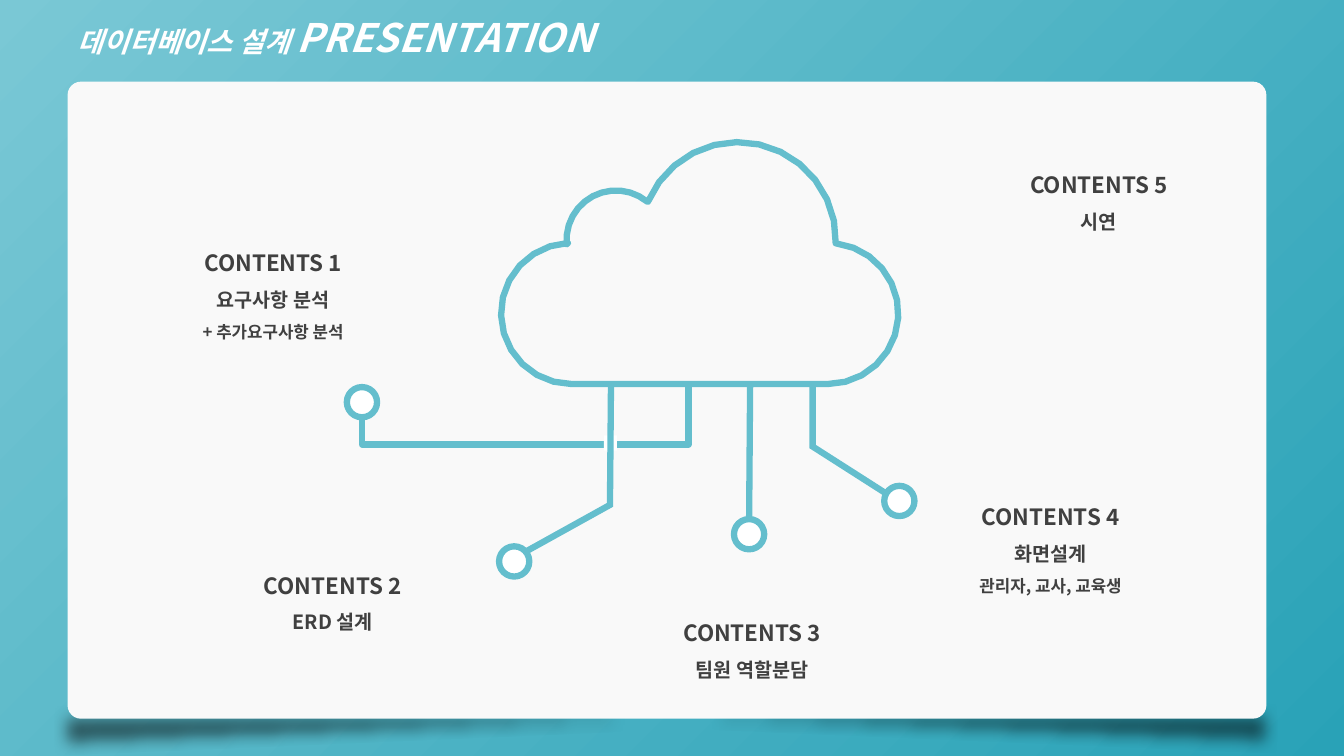
from dataclasses import dataclass
from math import cos, radians, sin

from lxml.etree import SubElement
from pptx import Presentation
from pptx.dml.color import RGBColor
from pptx.enum.shapes import MSO_CONNECTOR, MSO_SHAPE
from pptx.enum.text import MSO_ANCHOR, MSO_AUTO_SIZE, PP_ALIGN
from pptx.oxml.ns import qn
from pptx.util import Inches, Pt

FONT = "Noto Sans CJK KR"
WHITE = RGBColor(0xFF, 0xFF, 0xFF)
BLACK = RGBColor(0x00, 0x00, 0x00)
PANEL = RGBColor(0xF9, 0xF9, 0xF9)
INK = RGBColor(0x40, 0x40, 0x40)
TEAL = RGBColor(0x64, 0xBE, 0xCD)
SKY = RGBColor(0x7A, 0xC8, 0xD5)
SEA = RGBColor(0x29, 0xA2, 0xB7)
NODE_SIZE = 0.3

CONTENTS = [
    (1.38, 2.29, ["CONTENTS 1", "요구사항 분석", "+ 추가요구사항 분석"]),
    (6.13, 5.96, ["CONTENTS 3", "팀원 역할분담"]),
    (9.09, 4.81, ["CONTENTS 4", "화면설계", "관리자, 교사, 교육생"]),
    (1.97, 5.49, ["CONTENTS 2", "ERD 설계"]),
    (9.57, 1.52, ["CONTENTS 5", "시연"]),
]

# Cloud lobes, clockwise: centre x, centre y, radius, first and last angle
LOBES = [
    (4.81, 1.71, 0.70, -83, 90),
    (2.27, 1.71, 0.70, 90, 267),
    (2.71, 0.98, 0.49, 175, 309),
    (3.92, 0.98, 0.97, 203, 362),
]
ARC_STEPS = 12


@dataclass
class Box:
    left: float
    top: float
    width: float
    height: float

    def point(self, x, y):
        """Turn an offset inside the box into a place on the page."""
        return Inches(self.left + x), Inches(self.top + y)

    def inner(self, x, y, width, height):
        return Box(self.left + x, self.top + y, width, height)

    def frame(self):
        return *self.point(0, 0), Inches(self.width), Inches(self.height)


def add_text(para, text, size, color=INK, italic=False):
    span = para.add_run()
    span.text = text
    font = span.font
    font.name, font.size, font.bold, font.italic = FONT, Pt(size), True, italic
    font.color.rgb = color
    SubElement(font._element, qn("a:ea"), typeface=FONT)


def add_filled(page, kind, box, color):
    shape = page.shapes.add_shape(kind, *box.frame())
    shape.shadow.inherit = False
    shape.fill.solid()
    shape.fill.fore_color.rgb = color
    shape.line.fill.background()
    return shape


def style_line(line):
    line.color.rgb = TEAL
    line.width = Pt(4.5)


def add_outline(page, points, close):
    builder = page.shapes.build_freeform(*points[0])
    builder.add_line_segments(points[1:], close=close)
    shape = builder.convert_to_shape()
    shape.shadow.inherit = False
    shape.fill.background()
    style_line(shape.line)
    SubElement(shape.line._get_or_add_ln(), qn("a:round" if close else "a:miter"))


def add_link(page, kind, start, end):
    link = page.shapes.add_connector(kind, *start, *end)
    style_line(link.line)
    SubElement(link._element.spPr, qn("a:effectLst"))
    return link


def add_node(page, box, x, y):
    half = NODE_SIZE / 2
    node = add_filled(page, MSO_SHAPE.OVAL,
                      box.inner(x - half, y - half, NODE_SIZE, NODE_SIZE), WHITE)
    style_line(node.line)
    return node


def draw_background(page):
    fill = page.background.fill
    fill.gradient()
    fill.gradient_angle = 315
    for stop, color in zip(fill.gradient_stops, (SKY, SEA)):
        stop.color.rgb = color


def draw_panel(page, box):
    """Draw the rounded panel over two soft, wedge-shaped shadows."""
    for x, y, flip_h in ((-0.02, 6.17, "1"), (-0.13, 6.19, "0")):
        wedge = add_filled(page, MSO_SHAPE.RIGHT_TRIANGLE,
                           box.inner(x, y, 12.02, 0.5), BLACK)
        properties = wedge._element.spPr
        properties.xfrm.set("flipH", flip_h)
        properties.xfrm.set("flipV", "1")
        color = properties.find(qn("a:solidFill"))[0]
        SubElement(color, qn("a:alpha"), val="51000")
        effects = properties.find(qn("a:effectLst"))
        SubElement(effects, qn("a:softEdge"), rad=str(Inches(0.14)))
    panel = add_filled(page, MSO_SHAPE.ROUNDED_RECTANGLE, box, PANEL)
    panel.adjustments[0] = 0.021


def draw_title(page, box):
    title = page.shapes.title
    title.left, title.top, title.width, title.height = box.frame()
    frame = title.text_frame
    frame.word_wrap = True
    frame.auto_size = MSO_AUTO_SIZE.SHAPE_TO_FIT_TEXT
    frame.vertical_anchor = MSO_ANCHOR.TOP
    para = frame.paragraphs[0]
    para.alignment = PP_ALIGN.LEFT
    add_text(para, "데이터베이스 설계 ", 20, color=WHITE, italic=True)
    add_text(para, "PRESENTATION", 28, color=WHITE, italic=True)


def draw_cloud(page, box):
    points = []
    for x, y, radius, first, last in LOBES:
        for step in range(ARC_STEPS + 1):
            angle = radians(first + (last - first) * step / ARC_STEPS)
            points.append(box.point(x + radius * cos(angle), y + radius * sin(angle)))
    add_outline(page, points, close=True)


def draw_elbow(page, box):
    """Draw the U-shaped link: an elbow turned by a quarter and bent outside its box."""
    elbow = add_link(page, MSO_CONNECTOR.ELBOW, box.point(2.0, 4.19), box.point(1.62, 0.95))
    properties = elbow._element.spPr
    properties.xfrm.set("rot", str(90 * 60000))
    guides = properties.find(qn("a:prstGeom")).get_or_add_avLst()
    SubElement(guides, qn("a:gd"), name="adj1", fmla="val -65800")


def draw_diagram(page, box):
    draw_cloud(page, box)
    nodes = [add_node(page, box, x, y)
             for x, y in ((0.19, 2.59), (1.7, 4.17), (4.03, 3.9), (5.52, 3.57))]
    stem = add_link(page, MSO_CONNECTOR.STRAIGHT, box.point(4.04, 2.41), box.point(4.03, 3.75))
    stem.end_connect(nodes[2], 0)
    draw_elbow(page, box)
    add_filled(page, MSO_SHAPE.RECTANGLE, box.inner(2.59, 2.92, 0.13, 0.15), WHITE)
    for branch in (((4.66, 2.44), (4.66, 3.03), (5.38, 3.49)),
                   ((2.66, 2.41), (2.65, 3.61), (1.82, 4.07))):
        add_outline(page, [box.point(x, y) for x, y in branch], close=False)


def draw_label(page, box, lines):
    frame = page.shapes.add_textbox(*box.frame()).text_frame
    frame.word_wrap = True
    frame.auto_size = MSO_AUTO_SIZE.SHAPE_TO_FIT_TEXT
    for index, (text, size) in enumerate(zip(lines, (16, 14, 12))):
        para = frame.add_paragraph() if index else frame.paragraphs[0]
        para.alignment = PP_ALIGN.CENTER
        para.line_spacing = 1.5
        add_text(para, text, size)


def main():
    deck = Presentation()
    deck.slide_width, deck.slide_height = Inches(13.33), Inches(7.5)
    page = deck.slides.add_slide(deck.slide_layouts[5])
    draw_background(page)
    draw_panel(page, Box(0.67, 0.81, 11.89, 6.32))
    draw_title(page, Box(0.67, 0.08, 7.52, 0.57))
    draw_diagram(page, Box(3.4, 1.4, 5.7, 4.35))
    for left, top, lines in CONTENTS:
        height = 0.86 if len(lines) == 2 else 1.16
        draw_label(page, Box(left, top, 2.66, height), lines)
    deck.save("out.pptx")


if __name__ == "__main__":
    main()
